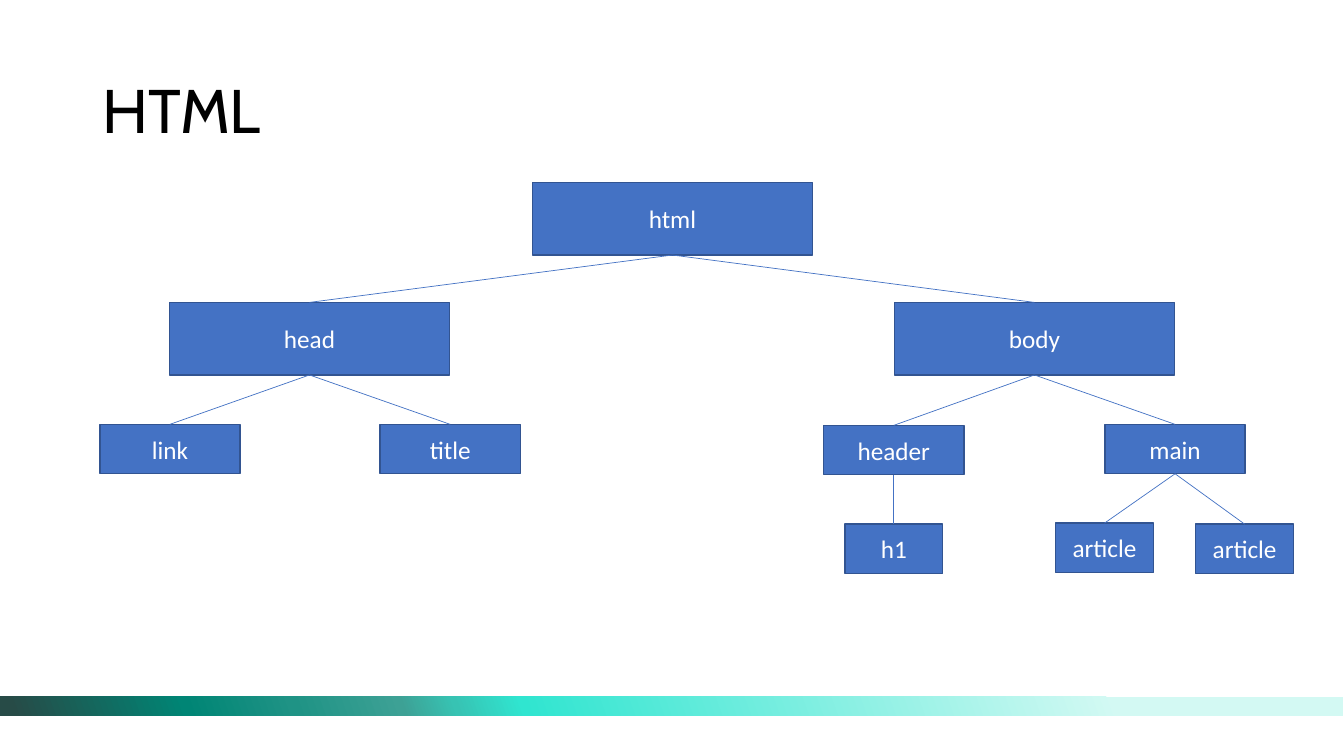
from dataclasses import dataclass

from lxml.etree import SubElement
from pptx import Presentation
from pptx.dml.color import RGBColor
from pptx.enum.shapes import MSO_CONNECTOR, MSO_SHAPE
from pptx.enum.text import MSO_ANCHOR, MSO_AUTO_SIZE, PP_ALIGN
from pptx.oxml import parse_xml
from pptx.oxml.ns import nsdecls, qn
from pptx.shapes.autoshape import Shape
from pptx.slide import Slide
from pptx.util import Emu, Pt

PX_PER_INCH = 100
BLACK = RGBColor(0x00, 0x00, 0x00)
WHITE = RGBColor(0xFF, 0xFF, 0xFF)
BLUE = RGBColor(0x44, 0x72, 0xC4)
DARK_BLUE = RGBColor(0x32, 0x54, 0x91)
BAND_ANGLE = 160
BAND_STOPS = [
    (17, RGBColor(0xD3, 0xF9, 0xF3)),
    (61, RGBColor(0x30, 0xE5, 0xD0)),
    (66, RGBColor(0x37, 0xC3, 0xB3)),
    (70, RGBColor(0x3D, 0xA1, 0x95)),
    (78, RGBColor(0x1F, 0x93, 0x85)),
    (86, RGBColor(0x00, 0x85, 0x75)),
    (99, RGBColor(0x27, 0x4B, 0x47)),
]


@dataclass(frozen=True)
class Size:
    width: int
    height: int


@dataclass(frozen=True)
class Node:
    tag: str
    center: int
    top: int
    size: Size
    parent: str = ""


LARGE = Size(278, 72)
MEDIUM = Size(139, 49)
SMALL = Size(97, 49)

NODES = [
    Node("html", 667, 181, LARGE),
    Node("head", 307, 300, LARGE, "html"),
    Node("body", 1026, 300, LARGE, "html"),
    Node("link", 168, 421, MEDIUM, "head"),
    Node("title", 446, 421, MEDIUM, "head"),
    Node("header", 886, 422, MEDIUM, "body"),
    Node("main", 1165, 421, MEDIUM, "body"),
    Node("h1", 886, 520, SMALL, "header"),
    Node("article", 1095, 519, SMALL, "main"),
    Node("article", 1234, 520, SMALL, "main"),
]


def px(n: int) -> Emu:
    return Emu(n * 914400 // PX_PER_INCH)


def write(sp: Shape, text: str, *, font: str, size: int, color: RGBColor,
          align: PP_ALIGN, spacing: float = 1.0) -> None:
    tf = sp.text_frame
    tf.word_wrap = True
    tf.auto_size = MSO_AUTO_SIZE.NONE
    tf.vertical_anchor = MSO_ANCHOR.MIDDLE
    p = tf.paragraphs[0]
    p.alignment = align
    p.line_spacing = spacing
    r = p.add_run()
    r.text = text
    r.font.name = font
    r.font.size = Pt(size)
    r.font.color.rgb = color


def add_rect(s: Slide, left: int, top: int, size: Size) -> Shape:
    sp = s.shapes.add_shape(MSO_SHAPE.RECTANGLE, px(left), px(top),
                            px(size.width), px(size.height))
    sp.shadow.inherit = False
    return sp


def add_band(s: Slide) -> None:
    sp = add_rect(s, 0, 691, Size(1332, 19))
    sp.line.fill.background()
    stops = "".join(
        f'<a:gs pos="{pos * 1000}"><a:srgbClr val="{color}"/></a:gs>'
        for pos, color in BAND_STOPS
    )
    grad = parse_xml(
        f'<a:gradFill {nsdecls("a")} rotWithShape="1"><a:gsLst>{stops}</a:gsLst>'
        f'<a:lin ang="{BAND_ANGLE * 60000}" scaled="0"/></a:gradFill>'
    )
    sp._element.spPr.find(qn("a:prstGeom")).addnext(grad)


def add_title(s: Slide) -> None:
    title = s.shapes.title
    title.left, title.top = px(92), px(40)
    title.width, title.height = px(1150), px(145)
    write(title, "HTML", font="Cabin", size=44, color=BLACK,
          align=PP_ALIGN.LEFT, spacing=0.9)


def add_node(s: Slide, node: Node) -> Shape:
    sp = add_rect(s, node.center - node.size.width // 2, node.top, node.size)
    sp.fill.solid()
    sp.fill.fore_color.rgb = BLUE
    sp.line.color.rgb = DARK_BLUE
    sp.line.width = Pt(1)
    write(sp, node.tag, font="Calibri", size=18, color=WHITE,
          align=PP_ALIGN.CENTER)
    return sp


def add_branch(s: Slide, parent: Shape, child: Shape) -> None:
    line = s.shapes.add_connector(MSO_CONNECTOR.STRAIGHT, 0, 0, 0, 0)
    line.begin_connect(parent, 2)
    line.end_connect(child, 0)
    line.line.color.rgb = BLUE
    line.line.width = Pt(0.5)
    SubElement(line._element.spPr, qn("a:effectLst"))


def main() -> None:
    prs = Presentation()
    prs.slide_width, prs.slide_height = px(1333), px(750)
    s = prs.slides.add_slide(prs.slide_layouts[5])
    add_band(s)
    add_title(s)
    boxes = [add_node(s, node) for node in NODES]
    by_tag = {node.tag: box for node, box in zip(NODES, boxes)}
    for node, box in zip(NODES, boxes):
        if node.parent:
            add_branch(s, by_tag[node.parent], box)
    prs.save("out.pptx")


if __name__ == "__main__":
    main()
